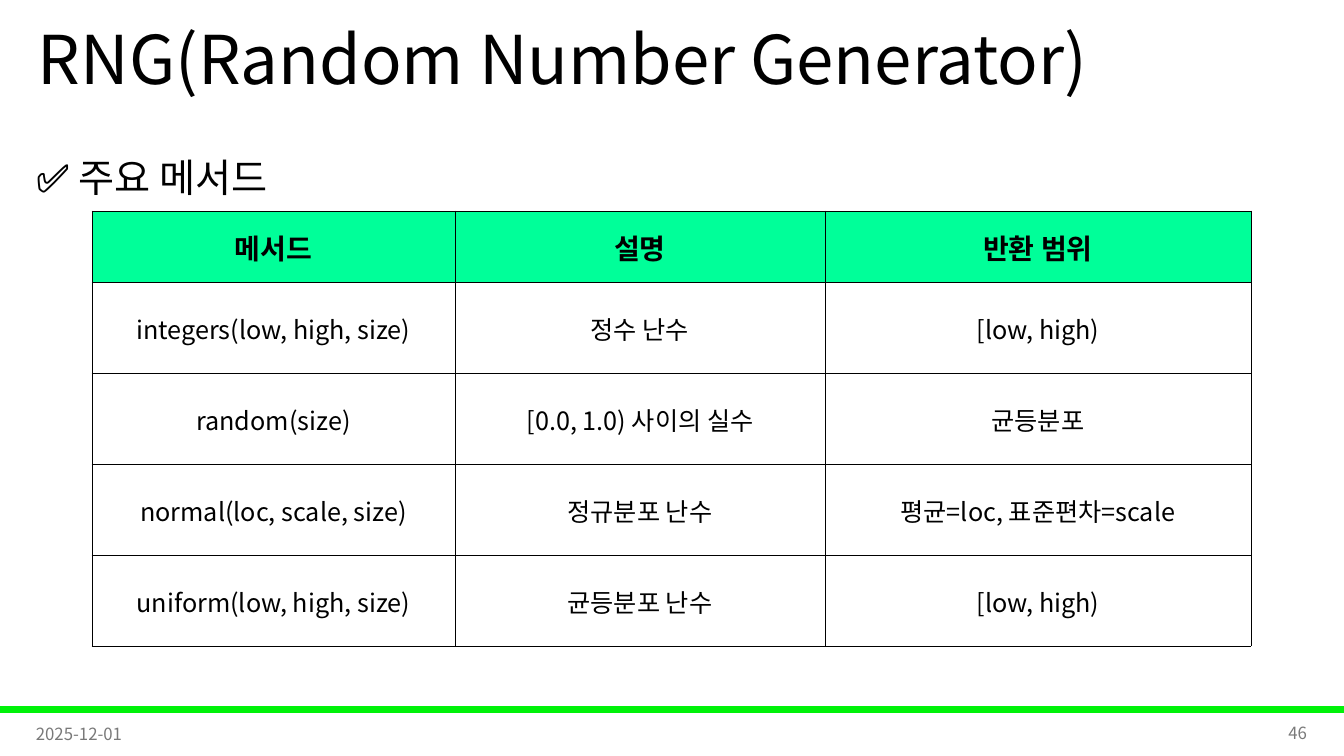
from pptx import Presentation
from pptx.dml.color import RGBColor
from pptx.enum.shapes import MSO_SHAPE as Shape
from pptx.enum.text import MSO_ANCHOR as Anchor, PP_ALIGN as Align
from pptx.oxml import parse_xml
from pptx.oxml.ns import nsdecls
from pptx.util import Pt

PX = 914400 / 100.8
FONT = "Noto Sans CJK KR"
BLACK = RGBColor(0, 0, 0)
GRAY = RGBColor(0x79, 0x79, 0x79)
GREEN = RGBColor(0, 0xF2, 0x09)
MINT = RGBColor(0, 0xFF, 0x99)


def style_paragraph(paragraph, size, color=BLACK, align=Align.LEFT, bold=False):
    paragraph.alignment = align
    for run in paragraph.runs:
        run.font.name = FONT
        run.font.size = Pt(size)
        run.font.bold = bold
        run.font.color.rgb = color
        run.font._element.append(parse_xml(f'<a:ea {nsdecls("a")} typeface="{FONT}"/>'))


def add_text(box, text, size, color=BLACK, align=Align.LEFT, anchor=Anchor.MIDDLE, spacing=1.0):
    shape = slide.shapes.add_textbox(*[round(value * PX) for value in box])
    frame = shape.text_frame
    frame.text = text
    frame.word_wrap = True
    frame.vertical_anchor = anchor
    paragraph = frame.paragraphs[0]
    paragraph.line_spacing = spacing
    style_paragraph(paragraph, size, color, align)


presentation = Presentation()
presentation.slide_width = round(1344 * PX)
presentation.slide_height = round(756 * PX)
slide = presentation.slides.add_slide(presentation.slide_layouts[6])

footer_bar = slide.shapes.add_shape(Shape.RECTANGLE, 0, round(707 * PX), round(1344 * PX), round(5 * PX))
footer_bar.shadow.inherit = False
footer_bar.fill.solid()
footer_bar.fill.fore_color.rgb = GREEN
footer_bar.line.color.rgb = GREEN
footer_bar.line.width = Pt(1)

add_text((28, 0, 1159, 126), "RNG(Random Number Generator)", 48, spacing=0.9)
add_text((26, 714, 302, 40), "2025-12-01", 12, GRAY)
add_text((1015, 713, 302, 40), "46", 12, GRAY, Align.RIGHT)
add_text((26, 125, 1290, 85), "✅ 주요 메서드", 28, anchor=Anchor.TOP, spacing=1.5)

method_rows = [
    ("메서드", "설명", "반환 범위"),
    ("integers(low, high, size)", "정수 난수", "[low, high)"),
    ("random(size)", "[0.0, 1.0) 사이의 실수", "균등분포"),
    ("normal(loc, scale, size)", "정규분포 난수", "평균=loc, 표준편차=scale"),
    ("uniform(low, high, size)", "균등분포 난수", "[low, high)"),
]
column_widths = [363, 370, 426]
row_heights = [71] + [91] * 4
table_box = (92, 211, sum(column_widths), sum(row_heights))
table = slide.shapes.add_table(
    len(row_heights), len(column_widths), *[round(value * PX) for value in table_box]
).table

for column, width in zip(table.columns, column_widths):
    column.width = round(width * PX)

for row_index, (row, texts) in enumerate(zip(table.rows, method_rows)):
    row.height = round(row_heights[row_index] * PX)
    is_header = row_index == 0
    for cell, text in zip(row.cells, texts):
        cell.text = text
        cell.vertical_anchor = Anchor.MIDDLE
        cell.margin_left = cell.margin_right = cell.margin_top = round(PX)
        cell.margin_bottom = 0
        style_paragraph(cell.text_frame.paragraphs[0], 20 if is_header else 18, BLACK, Align.CENTER, is_header)
        if is_header:
            cell.fill.solid()
            cell.fill.fore_color.rgb = MINT
        else:
            cell.fill.background()
        properties = cell._tc.get_or_add_tcPr()
        for position, side in enumerate(("lnL", "lnR", "lnT", "lnB")):
            border = parse_xml(
                f'<a:{side} {nsdecls("a")} w="{Pt(0.5)}"><a:solidFill>'
                f'<a:srgbClr val="{BLACK}"/></a:solidFill></a:{side}>'
            )
            properties.insert(position, border)

presentation.save("out.pptx")
